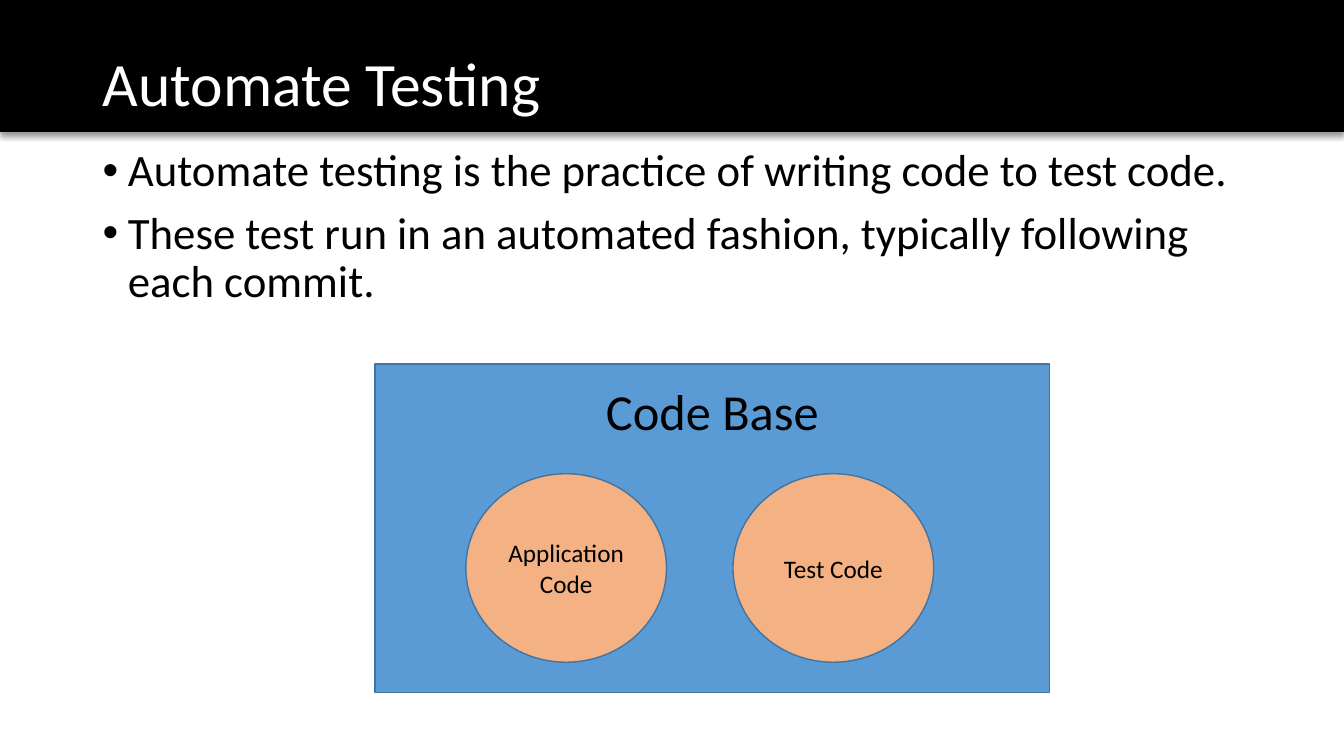
import pptx
import pptx.dml.color
import pptx.enum.shapes
import pptx.enum.text
import pptx.oxml
import pptx.oxml.ns
import pptx.util
from pptx.util import Inches, Pt

TITLE = "Automate Testing"
BULLETS = [
    "Automate testing is the practice of writing code to test code.",
    "These test run in an automated fashion, typically following each commit.",
]
CONTAINER = "Code Base"
PARTS = ["Application Code", "Test Code"]

BLACK = pptx.dml.color.RGBColor(0x00, 0x00, 0x00)
WHITE = pptx.dml.color.RGBColor(0xFF, 0xFF, 0xFF)
BLUE = pptx.dml.color.RGBColor(0x5B, 0x9B, 0xD5)
ORANGE = pptx.dml.color.RGBColor(0xF4, 0xB1, 0x83)
OUTLINE = pptx.dml.color.RGBColor(0x43, 0x73, 0x9E)

FONT = "Calibri"
SLIDE_WIDTH = 13.33
LEFT, TEXT_WIDTH = 0.92, 11.5
CIRCLE_LEFT, CIRCLE_TOP, CIRCLE_STEP = 4.62, 4.7, 2.65
CIRCLE_WIDTH, CIRCLE_HEIGHT = 1.99, 1.87

SHAPES = pptx.enum.shapes.MSO_SHAPE
ANCHOR = pptx.enum.text.MSO_ANCHOR
ALIGN = pptx.enum.text.PP_ALIGN


def write(paragraph, text, size, color=BLACK):
    """Put text in a paragraph and format its run."""
    paragraph.text = text
    font = paragraph.runs[0].font
    font.name, font.size = FONT, Pt(size)
    font.color.rgb = color


def add_text_box(slide, top, height):
    """Add a wrapping text box in the main column and return its frame."""
    box = slide.shapes.add_textbox(
        Inches(LEFT), Inches(top), Inches(TEXT_WIDTH), Inches(height))
    box.text_frame.word_wrap = True
    return box.text_frame


def add_block(slide, kind, bounds, fill, outline=None):
    """Add a filled shape without a shadow, outlined if a colour is given."""
    shape = slide.shapes.add_shape(kind, *[Inches(length) for length in bounds])
    shape.shadow.inherit = False
    shape.fill.solid()
    shape.fill.fore_color.rgb = fill
    if outline is None:
        shape.line.fill.background()
    else:
        shape.line.color.rgb = outline
        shape.line.width = Pt(1)
    return shape


def add_label(shape, text, size, anchor):
    """Write a centred label in a shape."""
    frame = shape.text_frame
    frame.word_wrap = True
    frame.vertical_anchor = anchor
    paragraph = frame.paragraphs[0]
    paragraph.alignment = ALIGN.CENTER
    write(paragraph, text, size)


def add_drop_shadow(shape):
    """Give a shape a soft shadow straight below it."""
    effects = shape._element.spPr.find(pptx.oxml.ns.qn("a:effectLst"))
    effects.append(pptx.oxml.parse_xml(
        f'<a:outerShdw {pptx.oxml.ns.nsdecls("a")} blurRad="{Pt(4)}" '
        f'dist="{Pt(3)}" dir="5400000" algn="t" rotWithShape="0">'
        '<a:srgbClr val="000000"><a:alpha val="40000"/></a:srgbClr>'
        '</a:outerShdw>'))


def add_bullet(paragraph):
    """Give a paragraph a round bullet with a hanging indent."""
    properties = paragraph._p.get_or_add_pPr()
    properties.set("marL", str(Inches(0.25)))
    properties.set("indent", str(Inches(-0.25)))
    namespace = pptx.oxml.ns.nsdecls("a")
    properties.append(pptx.oxml.parse_xml(
        f'<a:buFont {namespace} typeface="Arial"/>'))
    properties.append(pptx.oxml.parse_xml(
        f'<a:buChar {namespace} char="\u2022"/>'))


def add_header(slide):
    """Draw the black title bar and the title."""
    bar = add_block(slide, SHAPES.RECTANGLE, (0, 0, SLIDE_WIDTH, 1.31), BLACK)
    add_drop_shadow(bar)
    frame = add_text_box(slide, 0.4, 0.91)
    frame.vertical_anchor = ANCHOR.MIDDLE
    frame.auto_size = pptx.enum.text.MSO_AUTO_SIZE.TEXT_TO_FIT_SHAPE
    paragraph = frame.paragraphs[0]
    paragraph.line_spacing = 0.9
    write(paragraph, TITLE, 44, WHITE)


def add_bullets(slide):
    """Write the bulleted body text."""
    frame = add_text_box(slide, 1.42, 5.34)
    for index, text in enumerate(BULLETS):
        paragraph = frame.add_paragraph() if index else frame.paragraphs[0]
        paragraph.line_spacing = 0.9
        paragraph.space_before = Pt(10)
        write(paragraph, text, 32)
        add_bullet(paragraph)


def add_diagram(slide):
    """Draw the code base and the two kinds of code in it."""
    code_base = add_block(
        slide, SHAPES.RECTANGLE, (3.72, 3.61, 6.69, 3.26), BLUE, OUTLINE)
    add_label(code_base, CONTAINER, 36, ANCHOR.TOP)
    code_base.text_frame.margin_top = Inches(0.16)
    for index, text in enumerate(PARTS):
        bounds = (CIRCLE_LEFT + index * CIRCLE_STEP, CIRCLE_TOP,
                  CIRCLE_WIDTH, CIRCLE_HEIGHT)
        circle = add_block(slide, SHAPES.OVAL, bounds, ORANGE, OUTLINE)
        add_label(circle, text, 18, ANCHOR.MIDDLE)


presentation = pptx.Presentation()
presentation.slide_width = Inches(SLIDE_WIDTH)
presentation.slide_height = Inches(7.5)
slide = presentation.slides.add_slide(presentation.slide_layouts[6])
add_header(slide)
add_bullets(slide)
add_diagram(slide)
presentation.save("out.pptx")
